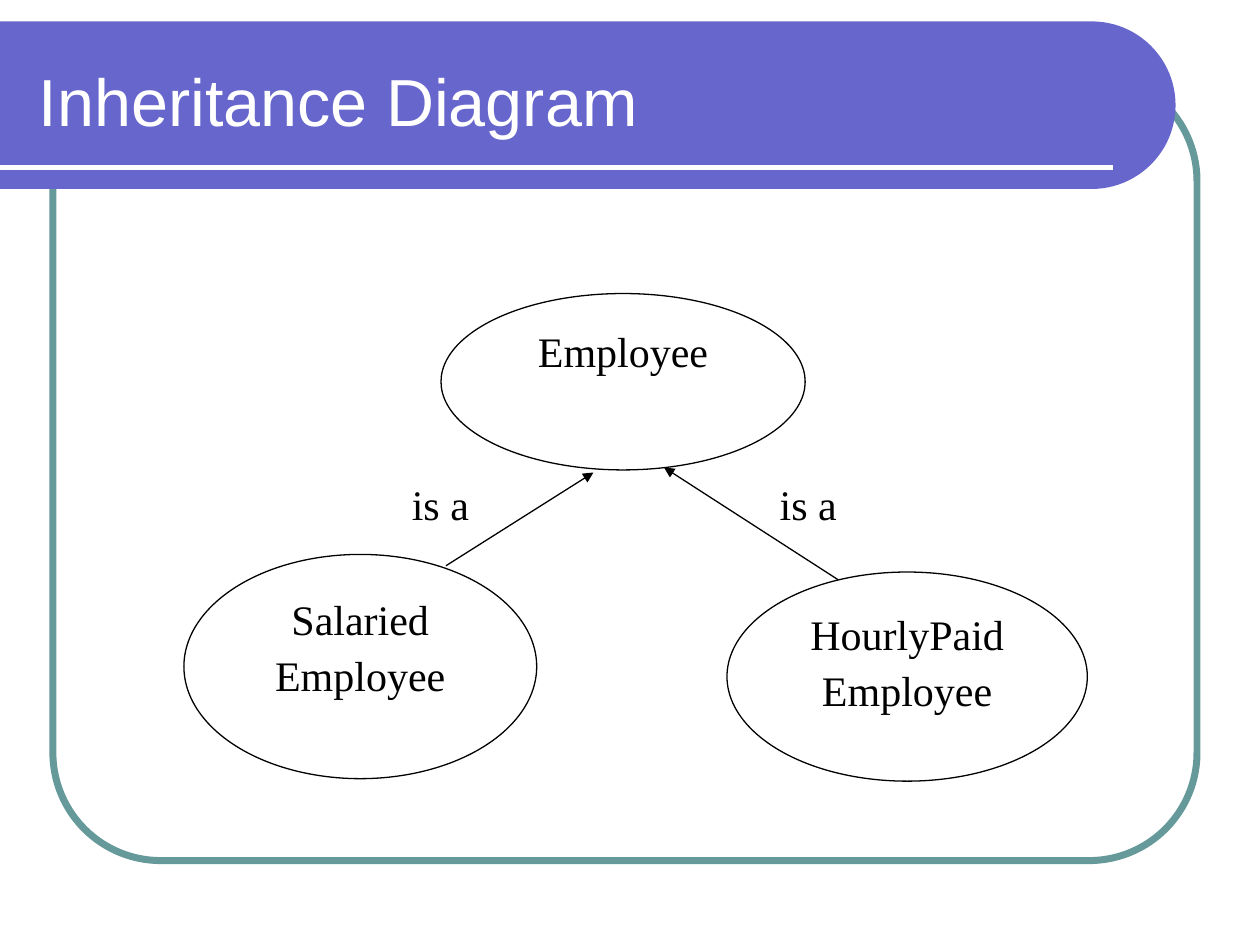
from lxml import etree
from pptx import Presentation
from pptx.dml.color import RGBColor
from pptx.enum.shapes import MSO_CONNECTOR, MSO_SHAPE
from pptx.enum.text import MSO_ANCHOR, PP_ALIGN
from pptx.oxml.ns import qn
from pptx.util import Inches, Pt

WHITE = RGBColor(0xFF, 0xFF, 0xFF)
BLACK = RGBColor(0x00, 0x00, 0x00)
VIOLET = RGBColor(0x66, 0x66, 0xCC)
TEAL = RGBColor(0x66, 0x99, 0x99)


def write_text(shape, text, font="Times New Roman", size=24, color=BLACK,
               align=PP_ALIGN.LEFT, anchor=MSO_ANCHOR.TOP, space_before=3):
    """Fill a shape with one paragraph for each line of text."""
    frame = shape.text_frame
    frame.word_wrap = True
    frame.vertical_anchor = anchor
    frame.text = text
    for paragraph in frame.paragraphs:
        paragraph.alignment = align
        paragraph.space_before = Pt(space_before)
        paragraph.font.name = font
        paragraph.font.size = Pt(size)
        paragraph.font.color.rgb = color


def add_text(slide, text, left, top, width, height, **text_format):
    """Add a text box with formatted text."""
    box = slide.shapes.add_textbox(Inches(left), Inches(top),
                                   Inches(width), Inches(height))
    write_text(box, text, **text_format)


def add_outline(slide, preset, left, top, width, height, color, weight):
    """Add an unfilled preset shape with a coloured line."""
    shape = slide.shapes.add_shape(preset, Inches(left), Inches(top),
                                   Inches(width), Inches(height))
    shape.shadow.inherit = False
    shape.fill.background()
    shape.line.color.rgb = color
    shape.line.width = Pt(weight)
    return shape


def add_line(slide, start, end, color, weight, arrow=False):
    """Add a straight line, with an arrowhead at its end if wanted."""
    line = slide.shapes.add_connector(
        MSO_CONNECTOR.STRAIGHT, *(Inches(value) for value in (*start, *end)))
    line.line.color.rgb = color
    line.line.width = Pt(weight)
    if arrow:
        etree.SubElement(line.line._get_or_add_ln(), qn("a:tailEnd"), type="triangle")
    etree.SubElement(line._element.spPr, qn("a:effectLst"))


def add_frame(slide, left, top, width, height):
    """Draw the rounded frame around the content."""
    frame = add_outline(slide, MSO_SHAPE.ROUNDED_RECTANGLE,
                        left, top, width, height, TEAL, 4)
    frame.adjustments[0] = 0.137


def add_title_band(slide, left, top, width, height, title):
    """Draw the band with its round right end, rule and title."""
    band = slide.shapes.add_shape(MSO_SHAPE.ROUND_2_SAME_RECTANGLE,
                                  Inches(left + (width - height) / 2),
                                  Inches(top - (width - height) / 2),
                                  Inches(height), Inches(width))
    band.rotation = 90
    band.adjustments[0] = 0.5
    band.shadow.inherit = False
    band.fill.solid()
    band.fill.fore_color.rgb = VIOLET
    band.line.fill.background()
    rule_y = top + height - 0.17
    add_line(slide, (left, rule_y), (left + width - 0.5, rule_y), WHITE, 3)
    add_text(slide, title, left + 0.21, top + 0.12, width - 0.56, 1,
             font="Arial", size=38, color=WHITE,
             anchor=MSO_ANCHOR.MIDDLE, space_before=0)


def add_diagram(slide, left, top):
    """Draw the classes, their arrows and the arrow labels."""
    classes = [
        ("Employee", 2.04, 0, 2.89, 1.4),
        ("Salaried\nEmployee", 0, 2.07, 2.8, 1.78),
        ("HourlyPaid\nEmployee", 4.31, 2.21, 2.86, 1.66),
    ]
    for name, x, y, width, height in classes:
        ellipse = add_outline(slide, MSO_SHAPE.OVAL, left + x, top + y,
                              width, height, BLACK, 0.75)
        write_text(ellipse, name, align=PP_ALIGN.CENTER)

    relations = [
        ((2.08, 2.16), (3.25, 1.42), 1.71),
        ((5.19, 2.27), (3.81, 1.38), 4.63),
    ]
    for start, end, label_x in relations:
        add_line(slide, (left + start[0], top + start[1]),
                 (left + end[0], top + end[1]), BLACK, 0.75, arrow=True)
        add_text(slide, "is a", left + label_x, top + 1.42, 1.1, 0.55)


def main():
    """Build and save the slide."""
    presentation = Presentation()
    presentation.slide_width = Inches(10)
    presentation.slide_height = Inches(7.5)
    slide = presentation.slides.add_slide(presentation.slide_layouts[6])
    add_frame(slide, 0.42, 0.58, 9.08, 6.25)
    add_title_band(slide, 0, 0.17, 9.33, 1.33, "Inheritance Diagram")
    add_diagram(slide, 1.46, 2.33)
    presentation.save("out.pptx")


main()
